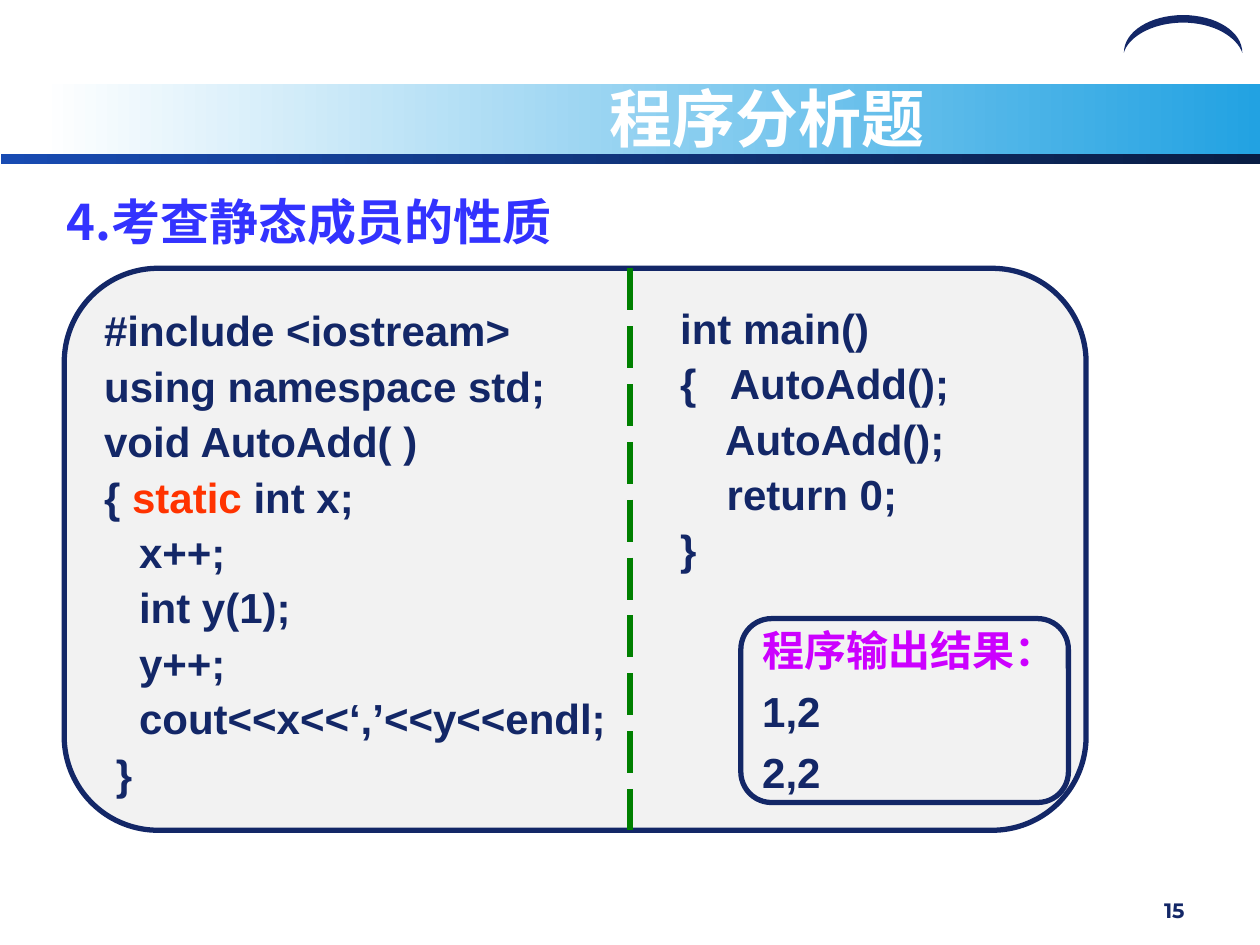
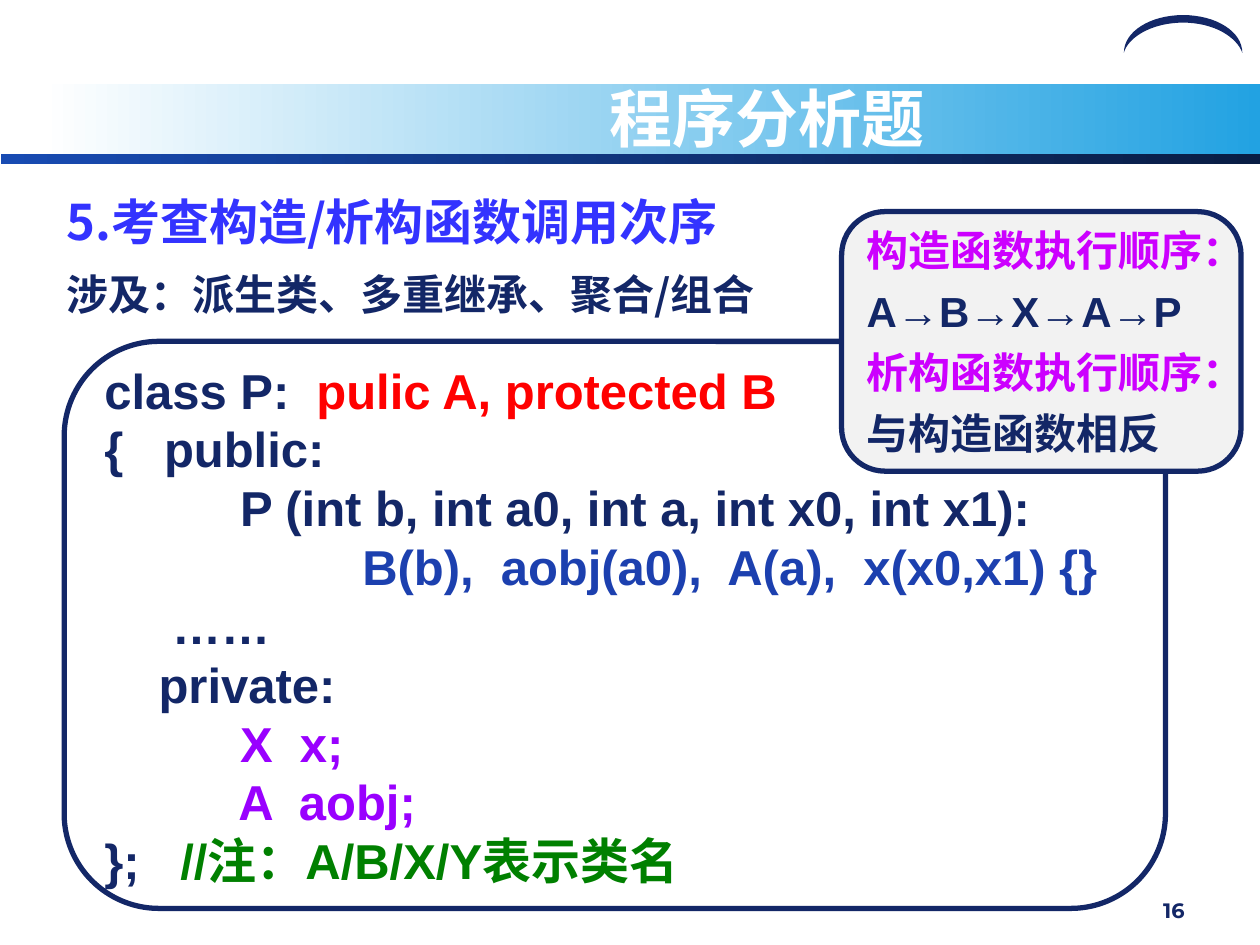
from dataclasses import dataclass

from lxml import etree
from pptx import Presentation
from pptx.dml.color import RGBColor
from pptx.enum.dml import MSO_LINE
from pptx.enum.shapes import MSO_CONNECTOR, MSO_SHAPE
from pptx.enum.text import MSO_ANCHOR, MSO_AUTO_SIZE, PP_ALIGN
from pptx.oxml.ns import qn
from pptx.util import Inches, Pt

RECT, ROUND_RECT = MSO_SHAPE.RECTANGLE, MSO_SHAPE.ROUNDED_RECTANGLE
STRAIGHT, LONG_DASH = MSO_CONNECTOR.STRAIGHT, MSO_LINE.LONG_DASH
TOP, MIDDLE = MSO_ANCHOR.TOP, MSO_ANCHOR.MIDDLE
LEFT, CENTER, RIGHT = PP_ALIGN.LEFT, PP_ALIGN.CENTER, PP_ALIGN.RIGHT
FIT_SHAPE = MSO_AUTO_SIZE.SHAPE_TO_FIT_TEXT


@dataclass(frozen=True)
class Theme:
    navy: str = "132767"
    white: str = "FFFFFF"
    panel: str = "F2F2F2"
    heading: str = "3333FF"
    label: str = "CC00FF"
    keyword: str = "FF3300"
    bases: str = "FF0000"
    initializers: str = "1C40AF"
    members: str = "9900FF"
    green: str = "008000"
    title_band: tuple = ("FFFFFF", "22A2E2")
    rule_band: tuple = ("184BB2", "091D44")
    latin: str = "Arial"
    chinese: str = "Noto Sans CJK SC"
    number_font: str = "Montserrat"
    title_size: float = 36
    large_size: float = 28
    text_size: float = 24
    number_size: float = 11.9
    border: float = 3


THEME = Theme()


def rgb(value):
    return RGBColor.from_string(value)


def put_text(shape, lines, size=THEME.text_size, color=THEME.navy, font=THEME.latin,
             align=LEFT, anchor=TOP, wrap=True, spacing=1.0, before=0):
    """Each line is a string or a list of (text, colour) spans."""
    frame = shape.text_frame
    frame.word_wrap = wrap
    frame.vertical_anchor = anchor
    for index, line in enumerate(lines):
        paragraph = frame.paragraphs[0] if index == 0 else frame.add_paragraph()
        paragraph.alignment = align
        paragraph.line_spacing = spacing
        if index and before:
            paragraph.space_before = Pt(before)
        spans = [(line, color)] if isinstance(line, str) else line
        for words, span_color in spans:
            run = paragraph.add_run()
            run.text = words
            run.font.size = Pt(size)
            run.font.bold = True
            run.font.name = font
            run.font.color.rgb = rgb(span_color)
            east_asian = etree.SubElement(run.font._element, qn("a:ea"))
            east_asian.set("typeface", THEME.chinese)


def add_text(slide, box, lines, **text_format):
    text_box = slide.shapes.add_textbox(*map(Inches, box))
    put_text(text_box, lines, **text_format)
    return text_box


def add_band(slide, box, colors):
    band = slide.shapes.add_shape(RECT, *map(Inches, box))
    band.shadow.inherit = False
    band.line.fill.background()
    band.fill.gradient()
    band.fill.gradient_angle = 0
    for stop, color in zip(band.fill.gradient_stops, colors):
        stop.color.rgb = rgb(color)


def add_panel(slide, box, lines, fill=THEME.panel, **text_format):
    panel = slide.shapes.add_shape(ROUND_RECT, *map(Inches, box))
    panel.shadow.inherit = False
    panel.adjustments[0] = 0.167
    panel.fill.solid()
    panel.fill.fore_color.rgb = rgb(fill)
    panel.line.color.rgb = rgb(THEME.navy)
    panel.line.width = Pt(THEME.border)
    put_text(panel, lines, anchor=MIDDLE, wrap=False, **text_format)


def add_divider(slide, x, top, bottom):
    divider = slide.shapes.add_connector(
        STRAIGHT, Inches(x), Inches(top), Inches(x), Inches(bottom))
    divider.line.color.rgb = rgb(THEME.green)
    divider.line.width = Pt(THEME.border)
    divider.line.dash_style = LONG_DASH
    etree.SubElement(divider._element.spPr, qn("a:effectLst"))


def curve_points(p0, p1, p2, p3, steps=16):
    """Points along a cubic curve, without its start."""
    for step in range(1, steps + 1):
        t = step / steps
        u = 1 - t
        yield tuple(u**3 * a + 3 * u * u * t * b + 3 * u * t * t * c + t**3 * d
                    for a, b, c, d in zip(p0, p1, p2, p3))


def add_crescent(slide):
    right, left = (9.86, 0.42), (8.92, 0.42)
    inner_top, outer_top = (9.39, 0.18), (9.39, 0.12)
    curves = [
        (right, (9.82, 0.3), (9.64, 0.18), inner_top),
        (inner_top, (9.14, 0.18), (8.95, 0.3), left),
        (left, (8.92, 0.25), (9.13, 0.12), outer_top),
        (outer_top, (9.65, 0.12), (9.86, 0.25), right),
    ]
    outline = slide.shapes.build_freeform(*map(Inches, right))
    outline.add_line_segments(
        [(Inches(x), Inches(y)) for curve in curves for x, y in curve_points(*curve)])
    crescent = outline.convert_to_shape()
    crescent.shadow.inherit = False
    crescent.fill.solid()
    crescent.fill.fore_color.rgb = rgb(THEME.navy)
    crescent.line.fill.background()


def add_question_slide(deck, number, heading):
    """Blank slide with the shared bands, title, heading and page number."""
    slide = deck.slides.add_slide(deck.slide_layouts[6])
    add_band(slide, (0.33, 0.67, 9.67, 0.58), THEME.title_band)
    add_band(slide, (0.01, 1.22, 9.99, 0.08), THEME.rule_band)
    add_crescent(slide)
    add_text(slide, (8.47, 7.1, 1.03, 0.35), [str(number)], size=THEME.number_size,
             font=THEME.number_font, align=RIGHT, spacing=0.9)
    add_text(slide, (0.43, 1.47, 8.9, 0.66), [heading], size=THEME.large_size,
             color=THEME.heading, font=THEME.chinese)
    add_text(slide, (2.67, 0.67, 6.83, 0.53), ["程序分析题"], size=THEME.title_size,
             color=THEME.white, align=CENTER, anchor=MIDDLE)
    return slide


def build_static_member_slide(deck):
    slide = add_question_slide(deck, 15, "4.考查静态成员的性质")

    # Program, in two columns
    top, height = 2.13, 4.46
    add_panel(slide, (0.51, top, 8.11, height), [
        "#include <iostream>",
        "using namespace std;",
        "void AutoAdd( )",
        [("{ ", THEME.navy), ("static", THEME.keyword), (" int x;", THEME.navy)],
        "   x++;",
        "   int y(1);",
        "   y++;",
        "   cout<<x<<‘,’<<y<<endl;",
        " }",
    ], spacing=1.1)
    main_code = add_text(slide, (5.3, 2.31, 2.44, 2.3), [
        "int main()",
        "{   AutoAdd();",
        "    AutoAdd();",
        "    return 0;",
        "}",
    ], spacing=1.1)
    main_code.text_frame.auto_size = FIT_SHAPE
    add_divider(slide, 5, top, top + height)

    # Program output
    add_panel(slide, (5.88, 4.91, 2.6, 1.46),
              [[("程序输出结果：", THEME.label)], "1,2", "2,2"], before=6)


def build_call_order_slide(deck):
    slide = add_question_slide(deck, 16, "5.考查构造/析构函数调用次序")
    add_text(slide, (0.43, 2.04, 9.22, 0.55), ["涉及：派生类、多重继承、聚合/组合"],
             font=THEME.chinese, spacing=1.1)

    # Class definition
    add_panel(slide, (0.51, 2.71, 8.74, 4.5), [
        [("class P:  ", THEME.navy), ("pulic A, protected B", THEME.bases)],
        "{   public:",
        "          P (int b, int a0, int a, int x0, int x1):",
        [("                   B(b),  aobj(a0),  A(a),  x(x0,x1) {}", THEME.initializers)],
        "     ……",
        "    private:",
        [("          X  x;", THEME.members)],
        [("          A  aobj;", THEME.members)],
        [("};   ", THEME.navy), ("//注：A/B/X/Y表示类名", THEME.green)],
    ], fill=THEME.white, size=THEME.large_size)

    # Order of calls
    add_panel(slide, (6.68, 1.68, 3.17, 2.06), [
        [("构造函数执行顺序：", THEME.label)],
        "A→B→X→A→P",
        [("析构函数执行顺序：", THEME.label)],
        "与构造函数相反",
    ], before=6)


def main():
    deck = Presentation()
    deck.slide_width, deck.slide_height = Inches(10), Inches(7.5)
    build_static_member_slide(deck)
    build_call_order_slide(deck)
    deck.save("out.pptx")


if __name__ == "__main__":
    main()
